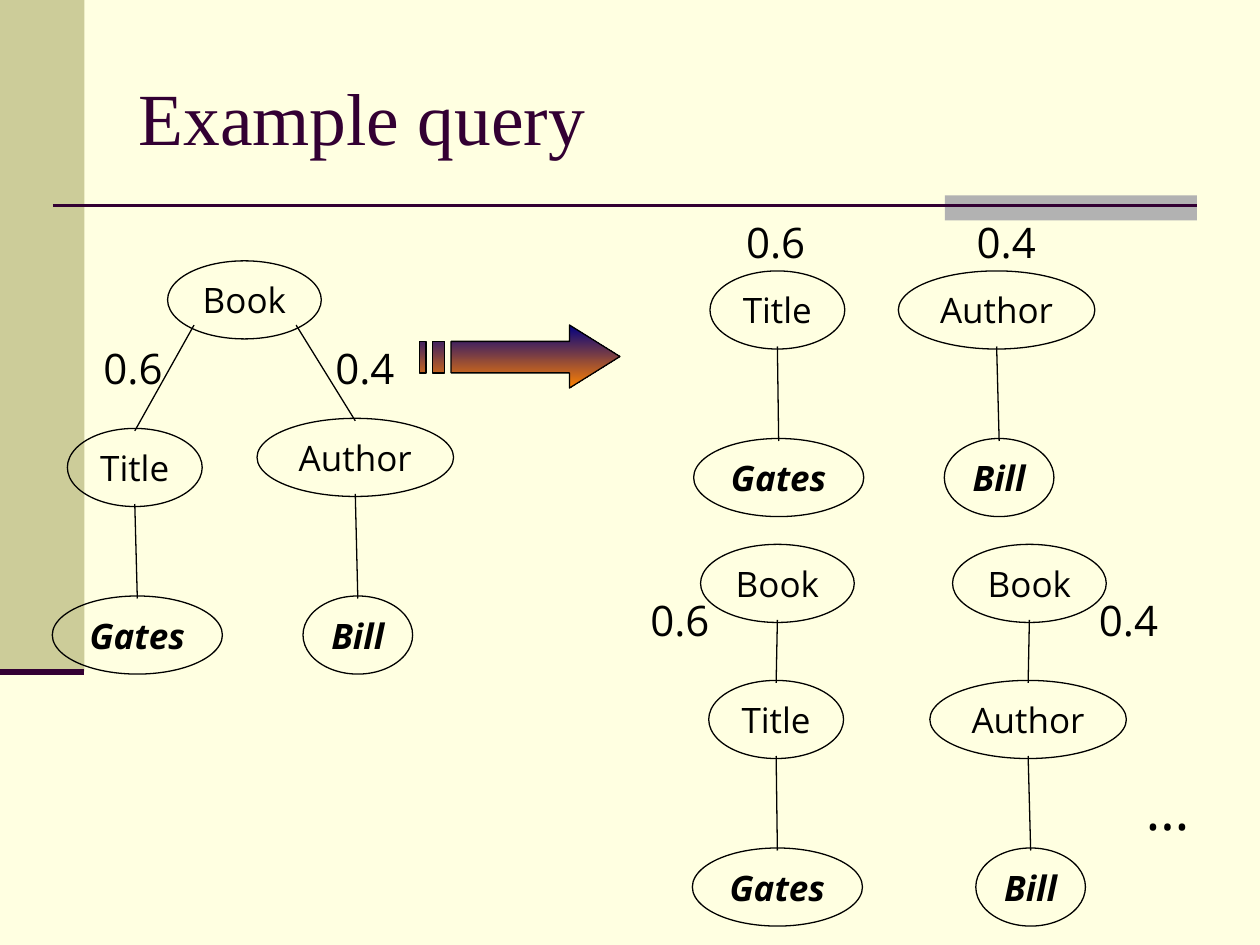
import pptx
import pptx.util
from lxml import etree
from pptx.dml.color import RGBColor
from pptx.enum.shapes import MSO_CONNECTOR, MSO_SHAPE
from pptx.enum.text import MSO_ANCHOR, MSO_AUTO_SIZE, PP_ALIGN
from pptx.oxml.ns import qn
from pptx.util import Inches, Pt

CREAM = RGBColor(0xFF, 0xFF, 0xE1)
OLIVE = RGBColor(0xCC, 0xCC, 0x99)
GRAY = RGBColor(0xB2, 0xB2, 0xB2)
PLUM = RGBColor(0x33, 0x00, 0x33)
BLACK = RGBColor(0, 0, 0)
NAVY = RGBColor(0x00, 0x00, 0x82)
ORANGE = RGBColor(0xFF, 0x82, 0x00)

TITLE = "Example query"
TITLE_FONT, BODY_FONT = "Times New Roman", "Open Sans"

NODE_WIDTHS = {"Book": 1.22, "Title": 1.07, "Author": 1.56, "Gates": 1.35, "Bill": 0.87}
VALUES = ("Gates", "Bill")
NODE_HEIGHT = 0.62
OVERLAP = 0.02  # how far an edge reaches into a node

# Each node: label, centre x, top
ROOT = ("Book", 1.94, 2.07)
ROOT_CHAINS = [
    [("Title", 1.07, 3.4), ("Gates", 1.09, 4.73)],
    [("Author", 2.82, 3.32), ("Bill", 2.84, 4.73)],
]
RESULT_CHAINS = [
    [("Title", 6.17, 2.15), ("Gates", 6.18, 3.48)],
    [("Author", 7.91, 2.15), ("Bill", 7.93, 3.48)],
    [("Book", 6.17, 4.32), ("Title", 6.16, 5.4), ("Gates", 6.17, 6.73)],
    [("Book", 8.17, 4.32), ("Author", 8.16, 5.4), ("Bill", 8.18, 6.73)],
]
ROOT_EDGE_SHIFTS = (-0.4, 0.41)
ROOT_EDGE_DROP = 0.51

# Text, left, top, width, height, size
LABELS = [
    (text, left, top, 0.67, 0.5, 24)
    for text, left, top in [
        ("0.6", 0.72, 2.67), ("0.4", 2.56, 2.67),
        ("0.6", 5.82, 1.67), ("0.4", 7.65, 1.67),
        ("0.6", 5.06, 4.67), ("0.4", 8.62, 4.67),
    ]
] + [("…", 8.99, 6.1, 0.55, 0.64, 32)]

# Freeform points are whole numbers, so they are in hundredths of an inch
ARROW_UNIT = Inches(0.01)
ARROW_PARTS = [
    [(358, 271), (452, 271), (452, 258), (492, 283),
     (452, 308), (452, 296), (358, 296)],
    [(333, 271), (338, 271), (338, 296), (333, 296)],
    [(343, 271), (353, 271), (353, 296), (343, 296)],
]


def add_line(slide, start, end, color=BLACK, width=0.75):
    line = slide.shapes.add_connector(
        MSO_CONNECTOR.STRAIGHT, *(Inches(value) for value in (*start, *end)))
    line.line.color.rgb = color
    line.line.width = Pt(width)
    etree.SubElement(line._element.spPr, qn("a:effectLst"))


def add_band(slide, box, color):
    band = slide.shapes.add_shape(MSO_SHAPE.RECTANGLE, *(Inches(value) for value in box))
    band.shadow.inherit = False
    band.fill.solid()
    band.fill.fore_color.rgb = color
    band.line.fill.background()


def write(shape, text, size, alignment, font=BODY_FONT, color=BLACK, emphasis=False):
    shape.text_frame.text = text
    paragraph = shape.text_frame.paragraphs[0]
    paragraph.alignment = alignment
    run_font = paragraph.runs[0].font
    run_font.name = font
    run_font.size = Pt(size)
    run_font.color.rgb = color
    run_font.bold = run_font.italic = emphasis


def add_node(slide, label, center, top):
    width = NODE_WIDTHS[label]
    node = slide.shapes.add_shape(
        MSO_SHAPE.OVAL, Inches(center - width / 2), Inches(top),
        Inches(width), Inches(NODE_HEIGHT))
    node.shadow.inherit = False
    node.fill.background()
    node.line.color.rgb = BLACK
    node.line.width = Pt(0.75)
    node.text_frame.word_wrap = False
    node.text_frame.vertical_anchor = MSO_ANCHOR.MIDDLE
    write(node, label, 20, PP_ALIGN.CENTER, emphasis=label in VALUES)


def add_edge(slide, parent, child, shift=0, drop=NODE_HEIGHT - OVERLAP):
    add_line(slide, (parent[1] + shift, parent[2] + drop), (child[1], child[2] + OVERLAP))


def add_chain(slide, chain):
    for node in chain:
        add_node(slide, *node)
    for parent, child in zip(chain, chain[1:]):
        add_edge(slide, parent, child)


def add_arrow(slide):
    first, *others = ARROW_PARTS
    builder = slide.shapes.build_freeform(*first[0], scale=ARROW_UNIT)
    builder.add_line_segments(first[1:], close=True)
    for part in others:
        builder.move_to(*part[0])
        builder.add_line_segments(part[1:], close=True)
    arrow = builder.convert_to_shape()
    arrow.shadow.inherit = False
    arrow.fill.gradient()
    arrow.fill.gradient_angle = 270
    for stop, position, color in zip(arrow.fill.gradient_stops, (0, 1), (NAVY, ORANGE)):
        stop.position = position
        stop.color.rgb = color
    arrow.line.color.rgb = BLACK
    arrow.line.width = Pt(0.75)


def add_label(slide, text, left, top, width, height, size):
    label = slide.shapes.add_textbox(*(Inches(value) for value in (left, top, width, height)))
    label.text_frame.word_wrap = False
    label.text_frame.auto_size = MSO_AUTO_SIZE.SHAPE_TO_FIT_TEXT
    write(label, text, size, PP_ALIGN.RIGHT)


def main():
    presentation = pptx.Presentation()
    presentation.slide_width, presentation.slide_height = Inches(10), Inches(7.5)
    slide = presentation.slides.add_slide(presentation.slide_layouts.get_by_name("Title Only"))
    slide.background.fill.solid()
    slide.background.fill.fore_color.rgb = CREAM

    add_band(slide, (0, 0, 0.67, 5.33), OLIVE)
    add_band(slide, (7.5, 1.55, 2, 0.2), GRAY)
    add_line(slide, (0.42, 1.63), (9.5, 1.63), PLUM, 1.5)
    add_line(slide, (0, 5.33), (0.67, 5.33), PLUM, 3.5)

    title = slide.shapes.title
    title.left, title.top = Inches(1), Inches(0.3)
    title.width, title.height = Inches(8.5), Inches(1.25)
    title.text_frame.vertical_anchor = MSO_ANCHOR.MIDDLE
    write(title, TITLE, 42, PP_ALIGN.LEFT, TITLE_FONT, PLUM)

    add_node(slide, *ROOT)
    for chain, shift in zip(ROOT_CHAINS, ROOT_EDGE_SHIFTS):
        add_edge(slide, ROOT, chain[0], shift, ROOT_EDGE_DROP)
    for chain in ROOT_CHAINS + RESULT_CHAINS:
        add_chain(slide, chain)
    add_arrow(slide)
    for label in LABELS:
        add_label(slide, *label)

    presentation.save("out.pptx")


if __name__ == "__main__":
    main()
